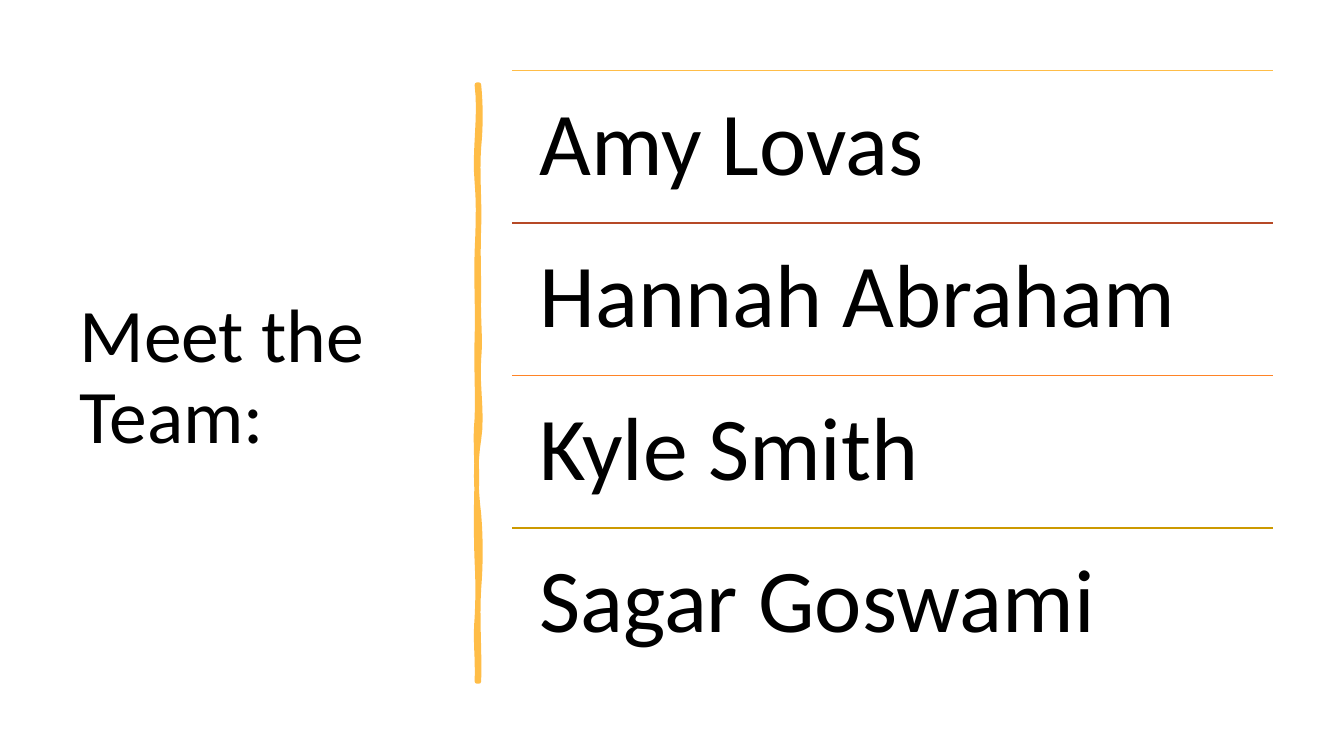
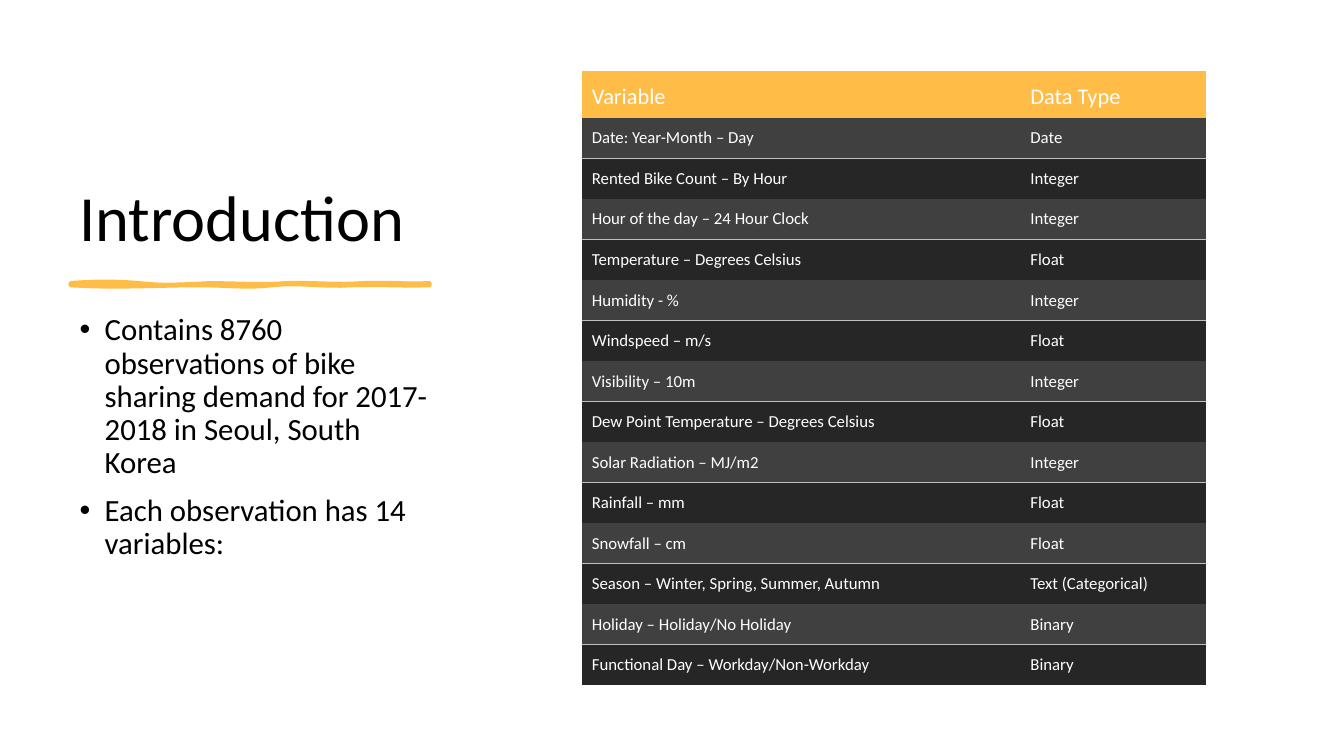
from itertools import pairwise

from lxml import etree
from pptx import Presentation
from pptx.dml.color import RGBColor
from pptx.enum.shapes import MSO_CONNECTOR
from pptx.enum.text import MSO_ANCHOR
from pptx.oxml.ns import qn
from pptx.util import Inches, Pt

STRAIGHT = MSO_CONNECTOR.STRAIGHT
TOP, MIDDLE, BOTTOM = MSO_ANCHOR.TOP, MSO_ANCHOR.MIDDLE, MSO_ANCHOR.BOTTOM

FONT = "Calibri"
BLACK, WHITE, GOLD = "000000", "FFFFFF", "FFBD47"
ROW_FILLS = ("404040", "262626")
ROW_LINE = "BFBFBF"
MARGIN_LEFT, MARGIN_TOP = 0.69, 0.7
CURVE_STEPS = 8

TEAM = [
    ("Amy Lovas", GOLD),
    ("Hannah Abraham", "B64926"),
    ("Kyle Smith", "FF8427"),
    ("Sagar Goswami", "CC9900"),
]
FACTS = [
    "Contains 8760 observations of bike sharing demand for 2017-2018 in Seoul, South Korea",
    "Each observation has 14 variables:",
]
VARIABLES = [
    ("Variable", "Data Type"),
    ("Date: Year-Month – Day", "Date"),
    ("Rented Bike Count – By Hour", "Integer"),
    ("Hour of the day – 24 Hour Clock", "Integer"),
    ("Temperature – Degrees Celsius", "Float"),
    ("Humidity - %", "Integer"),
    ("Windspeed – m/s", "Float"),
    ("Visibility – 10m", "Integer"),
    ("Dew Point Temperature – Degrees Celsius", "Float"),
    ("Solar Radiation – MJ/m2", "Integer"),
    ("Rainfall – mm", "Float"),
    ("Snowfall – cm", "Float"),
    ("Season – Winter, Spring, Summer, Autumn", "Text (Categorical)"),
    ("Holiday – Holiday/No Holiday", "Binary"),
    ("Functional Day – Workday/Non-Workday", "Binary"),
]

# Each edge: its offset across the stroke, its stops along it, and the bends between stops.
VERTICAL_EDGES = [
    (0.02, [0.84, 1.46, 2.26, 2.94, 3.56, 4.36, 5.1, 5.84, 6.76],
     [(0.02, 0.02), (-0.02, 0.01), (-0.01, 0), (-0.01, 0.02),
      (-0.02, 0.04), (-0.04, -0.03), (0.02, 0.02), (-0.02, 0.01)]),
    (0, [6.76, 6.13, 5.57, 4.77, 4.15, 3.35, 2.5, 1.81, 0.84],
     [(0.01, -0.02), (0.01, 0.01), (-0.01, -0.01), (0, -0.02),
      (0.01, -0.01), (0.01, -0.01), (0.01, 0.02), (-0.03, 0.04)]),
]
HORIZONTAL_EDGES = [
    (0, [0.7, 1.38, 2.09, 2.84, 3.59, 4.26],
     [(-0.02, -0.02), (0.03, 0.01), (0, 0.02), (-0.01, 0.02), (-0.01, 0.01)]),
    (0.02, [4.26, 3.48, 2.7, 1.99, 0.7],
     [(0.01, -0.01), (0.02, -0.03), (0.03, 0), (0, 0.03)]),
]


def colour(value):
    return RGBColor.from_string(value)


def set_margins(holder, left, top, right, bottom):
    holder.margin_left, holder.margin_top = Inches(left), Inches(top)
    holder.margin_right, holder.margin_bottom = Inches(right), Inches(bottom)


def write(para, text, size, ink=BLACK, spacing=None, before=None, bullet=False):
    if spacing:
        para.line_spacing = spacing
    if before is not None:
        para.space_before = Pt(before)
    if bullet:
        properties = para._p.get_or_add_pPr()
        properties.set("marL", str(Inches(0.25)))
        properties.set("indent", str(-Inches(0.25)))
        etree.SubElement(properties, qn("a:buFont"), typeface="Arial")
        etree.SubElement(properties, qn("a:buChar"), char="•")
    span = para.add_run()
    span.text = text
    span.font.name = FONT
    span.font.size = Pt(size)
    span.font.bold = False
    span.font.color.rgb = colour(ink)


def add_text(page, box, lines, size, anchor=TOP, inset=None, before=0, bullet=False):
    frame = page.shapes.add_textbox(*map(Inches, box)).text_frame
    frame.word_wrap = True
    frame.vertical_anchor = anchor
    if inset:
        set_margins(frame, inset, inset, inset, inset)
    for index, line in enumerate(lines):
        para = frame.add_paragraph() if index else frame.paragraphs[0]
        write(para, line, size, spacing=0.9, before=before if index else 0, bullet=bullet)


def add_title(page, text, size, width, height, anchor):
    add_text(page, (MARGIN_LEFT, MARGIN_TOP, width, height), [text], size, anchor=anchor)


def edge_points(offset, stops, bends):
    points = [(stops[0], offset)]
    for (start, end), (first, second) in zip(pairwise(stops), bends):
        for step in range(1, CURVE_STEPS + 1):
            t = step / CURVE_STEPS
            sway = 3 * t * (1 - t) * ((1 - t) * first + t * second)
            points.append((start + t * (end - start), offset + sway))
    return points


def add_brush_stroke(page, position, edges, weight, vertical=False):
    points = []
    for edge in edges:
        for along, across in edge_points(*edge):
            point = (Inches(along), Inches(position + across))
            points.append(point[::-1] if vertical else point)
    builder = page.shapes.build_freeform(*points[0])
    builder.add_line_segments(points[1:], close=True)
    stroke = builder.convert_to_shape()
    stroke.shadow.inherit = False
    stroke.fill.solid()
    stroke.fill.fore_color.rgb = colour(GOLD)
    stroke.line.color.rgb = colour(GOLD)
    stroke.line.width = Pt(weight)
    etree.SubElement(stroke.line._get_or_add_ln(), qn("a:round"))


def add_rule(page, left, top, width, ink):
    ends = map(Inches, (left, top, left + width, top))
    rule = page.shapes.add_connector(STRAIGHT, *ends)
    rule.line.color.rgb = colour(ink)
    rule.line.width = Pt(1)
    etree.SubElement(rule._element.spPr, qn("a:effectLst"))


def add_name_list(page, box, members):
    left, top, width, height = box
    row_height = height / len(members)
    for index, (name, ink) in enumerate(members):
        row_top = top + index * row_height
        add_rule(page, left, row_top, width, ink)
        add_text(page, (left, row_top, width, row_height), [name], 64, inset=0.27)


def set_borders(cell, lined_side):
    properties = cell._tc.get_or_add_tcPr()
    for side in ("lnL", "lnR", "lnT", "lnB"):
        border = etree.SubElement(properties, qn(f"a:{side}"), w=str(Pt(1)))
        if side == lined_side:
            fill = etree.SubElement(border, qn("a:solidFill"))
            etree.SubElement(fill, qn("a:srgbClr"), val=ROW_LINE)
        else:
            etree.SubElement(border, qn("a:noFill"))


def add_variable_table(page, box, rows, widths, header_height):
    shape = page.shapes.add_table(len(rows), len(widths), *map(Inches, box))
    table = shape.table
    for column, width in zip(table.columns, widths):
        column.width = Inches(width)
    row_height = (box[3] - header_height) / (len(rows) - 1)
    for index, values in enumerate(rows):
        header = index == 0
        table.rows[index].height = Inches(header_height if header else row_height)
        lined_side = None if header else ("lnT", "lnB")[index % 2]
        fill = GOLD if header else ROW_FILLS[(index - 1) % 2]
        for cell, value in zip(table.rows[index].cells, values):
            set_margins(cell, 0.1, 0.1, 0.1, 0.05)
            cell.vertical_anchor = MIDDLE if header else TOP
            set_borders(cell, lined_side)
            cell.fill.solid()
            cell.fill.fore_color.rgb = colour(fill)
            write(cell.text_frame.paragraphs[0], value, 16 if header else 12, ink=WHITE)


def build_team(page):
    add_title(page, "Meet the Team:", 54, 3.74, 6.11, MIDDLE)
    add_brush_stroke(page, 4.73, VERTICAL_EDGES, 3.25, vertical=True)
    add_name_list(page, (5.08, MARGIN_TOP, 7.55, 6.05), TEAM)


def build_introduction(page):
    add_title(page, "Introduction", 46, 3.75, 1.88, BOTTOM)
    add_brush_stroke(page, 2.81, HORIZONTAL_EDGES, 3)
    add_text(page, (MARGIN_LEFT, 3.07, 3.75, 3.73), FACTS, 22, before=10, bullet=True)
    add_variable_table(page, (5.77, MARGIN_TOP, 6.19, 6.1), VARIABLES, (4.35, 1.84), 0.47)


def main():
    deck = Presentation()
    deck.slide_width, deck.slide_height = Inches(13.33), Inches(7.5)
    for build in (build_team, build_introduction):
        build(deck.slides.add_slide(deck.slide_layouts[6]))
    deck.save("out.pptx")


if __name__ == "__main__":
    main()
